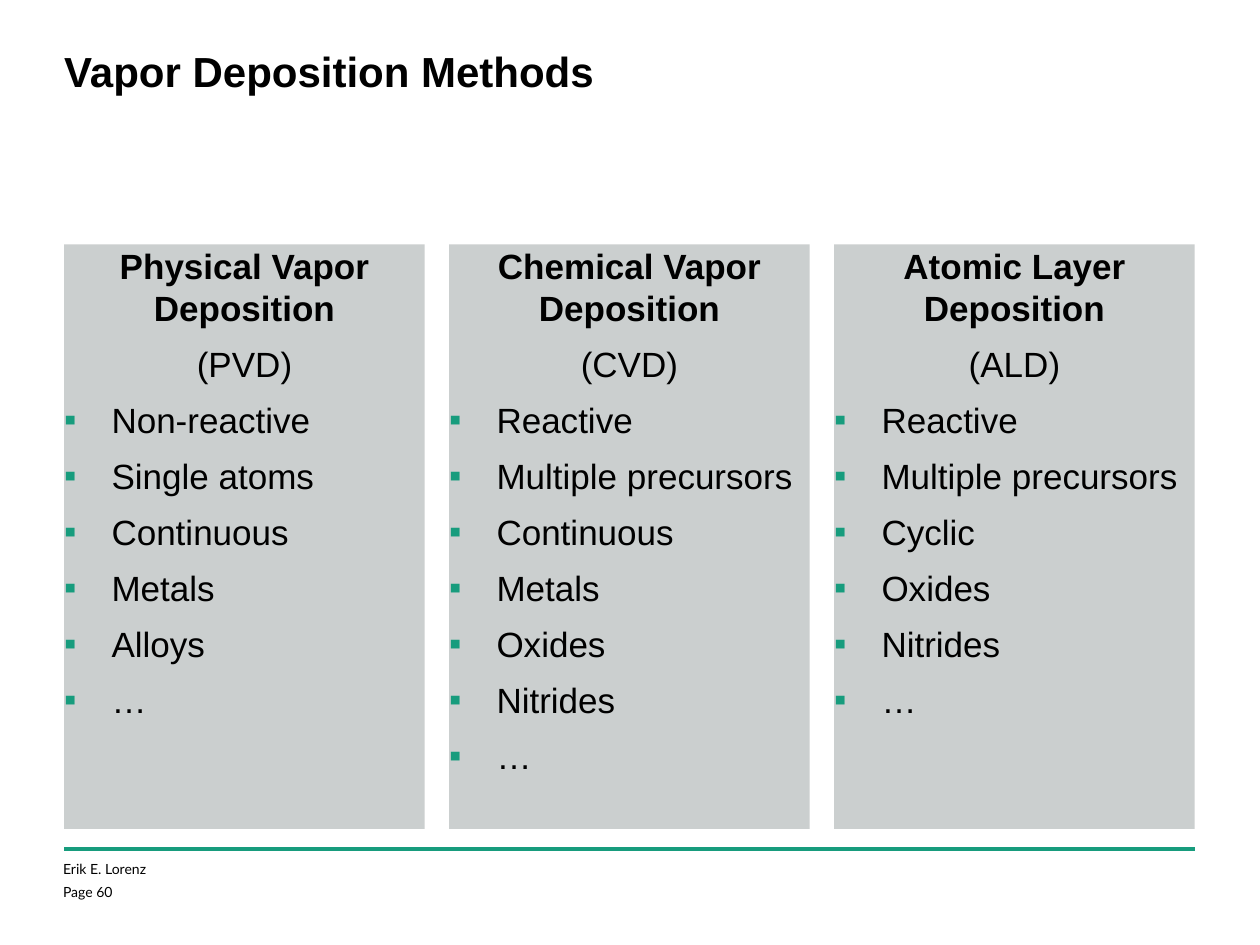
from dataclasses import dataclass

from lxml import etree
from pptx import Presentation
from pptx.dml.color import RGBColor
from pptx.enum.shapes import MSO_CONNECTOR, MSO_SHAPE
from pptx.enum.text import MSO_ANCHOR, PP_ALIGN
from pptx.oxml.ns import qn
from pptx.util import Pt

RECTANGLE = MSO_SHAPE.RECTANGLE
STRAIGHT = MSO_CONNECTOR.STRAIGHT
TOP = MSO_ANCHOR.TOP
LEFT, CENTER = PP_ALIGN.LEFT, PP_ALIGN.CENTER


@dataclass(frozen=True)
class Theme:
    text: RGBColor = RGBColor(0x00, 0x00, 0x00)
    accent: RGBColor = RGBColor(0x17, 0x9C, 0x7D)
    panel: RGBColor = RGBColor(0xCB, 0xCF, 0xCF)
    font: str = "Arial"
    footer_font: str = "Lato"
    title_size: int = 24
    body_size: int = 20
    footer_size: int = 8


THEME = Theme()
MARGIN, CONTENT_WIDTH = 36.7, 646
PANEL_TOP, PANEL_WIDTH, PANEL_HEIGHT = 139.7, 206, 334
BULLET_INDENT = 27

METHODS = [
    ("Physical Vapor Deposition", "(PVD)",
     ["Non-reactive", "Single atoms", "Continuous", "Metals", "Alloys", "…"]),
    ("Chemical Vapor Deposition", "(CVD)",
     ["Reactive", "Multiple precursors", "Continuous", "Metals", "Oxides",
      "Nitrides", "…"]),
    ("Atomic Layer Deposition", "(ALD)",
     ["Reactive", "Multiple precursors", "Cyclic", "Oxides", "Nitrides", "…"]),
]


def set_attributes(target, values):
    for name, value in values.items():
        setattr(target, name, value)


def prepare_frame(frame):
    set_attributes(frame, {
        "word_wrap": True, "vertical_anchor": TOP,
        "margin_left": 0, "margin_right": 0,
        "margin_top": 0, "margin_bottom": 0,
    })


def add_bullet(para):
    """Give the paragraph a hanging indent and a square accent bullet."""
    props = para._p.get_or_add_pPr()
    props.set("marL", str(Pt(BULLET_INDENT)))
    props.set("indent", str(-Pt(BULLET_INDENT)))
    color = etree.SubElement(props, qn("a:buClr"))
    etree.SubElement(color, qn("a:srgbClr"), val=str(THEME.accent))
    etree.SubElement(props, qn("a:buFont"), typeface=THEME.font)
    etree.SubElement(props, qn("a:buChar"), char="▪")


def write_paragraph(frame, index, text, font, layout, bullet=False):
    para = frame.add_paragraph() if index else frame.paragraphs[0]
    set_attributes(para, layout)
    if bullet:
        add_bullet(para)
    span = para.add_run()
    span.text = text
    span.font.color.rgb = THEME.text
    set_attributes(span.font, font)


def add_text_box(page, left, top, width, height):
    box = page.shapes.add_textbox(Pt(left), Pt(top), Pt(width), Pt(height))
    prepare_frame(box.text_frame)
    return box.text_frame


def add_title(page, text):
    frame = add_text_box(page, MARGIN, 26, CONTENT_WIDTH, 96.5)
    font = {"name": THEME.font, "size": Pt(THEME.title_size), "bold": True}
    write_paragraph(frame, 0, text, font, {"line_spacing": Pt(28.8)})


def add_method_panel(page, left, name, short_name, traits):
    panel = page.shapes.add_shape(
        RECTANGLE, Pt(left), Pt(PANEL_TOP), Pt(PANEL_WIDTH), Pt(PANEL_HEIGHT))
    panel.shadow.inherit = False
    panel.fill.solid()
    panel.fill.fore_color.rgb = THEME.panel
    panel.line.fill.background()
    frame = panel.text_frame
    prepare_frame(frame)
    for index, text in enumerate([name, short_name, *traits]):
        is_trait = index > 1
        font = {"name": THEME.font, "size": Pt(THEME.body_size),
                "bold": index == 0}
        layout = {"alignment": LEFT if is_trait else CENTER,
                  "line_spacing": Pt(24), "space_after": Pt(8)}
        write_paragraph(frame, index, text, font, layout, is_trait)


def add_footer(page, lines):
    rule = page.shapes.add_connector(
        STRAIGHT, Pt(MARGIN), Pt(485.3), Pt(MARGIN + CONTENT_WIDTH), Pt(485.3))
    rule.line.color.rgb = THEME.accent
    rule.line.width = Pt(2.5)
    etree.SubElement(rule._element.spPr, qn("a:effectLst"))
    frame = add_text_box(page, 36, 492, 228, 24.5)
    font = {"name": THEME.footer_font, "size": Pt(THEME.footer_size)}
    for index, text in enumerate(lines):
        layout = {"alignment": LEFT, "space_before": Pt(3.5 if index else 0)}
        write_paragraph(frame, index, text, font, layout)


def main():
    deck = Presentation()
    deck.slide_width, deck.slide_height = Pt(720), Pt(540)
    page = deck.slides.add_slide(deck.slide_layouts[6])
    add_footer(page, ["Erik E. Lorenz", "Page 60"])
    add_title(page, "Vapor Deposition Methods")
    step = (CONTENT_WIDTH - PANEL_WIDTH) / (len(METHODS) - 1)
    for column, method in enumerate(METHODS):
        add_method_panel(page, MARGIN + column * step, *method)
    deck.save("out.pptx")


if __name__ == "__main__":
    main()
